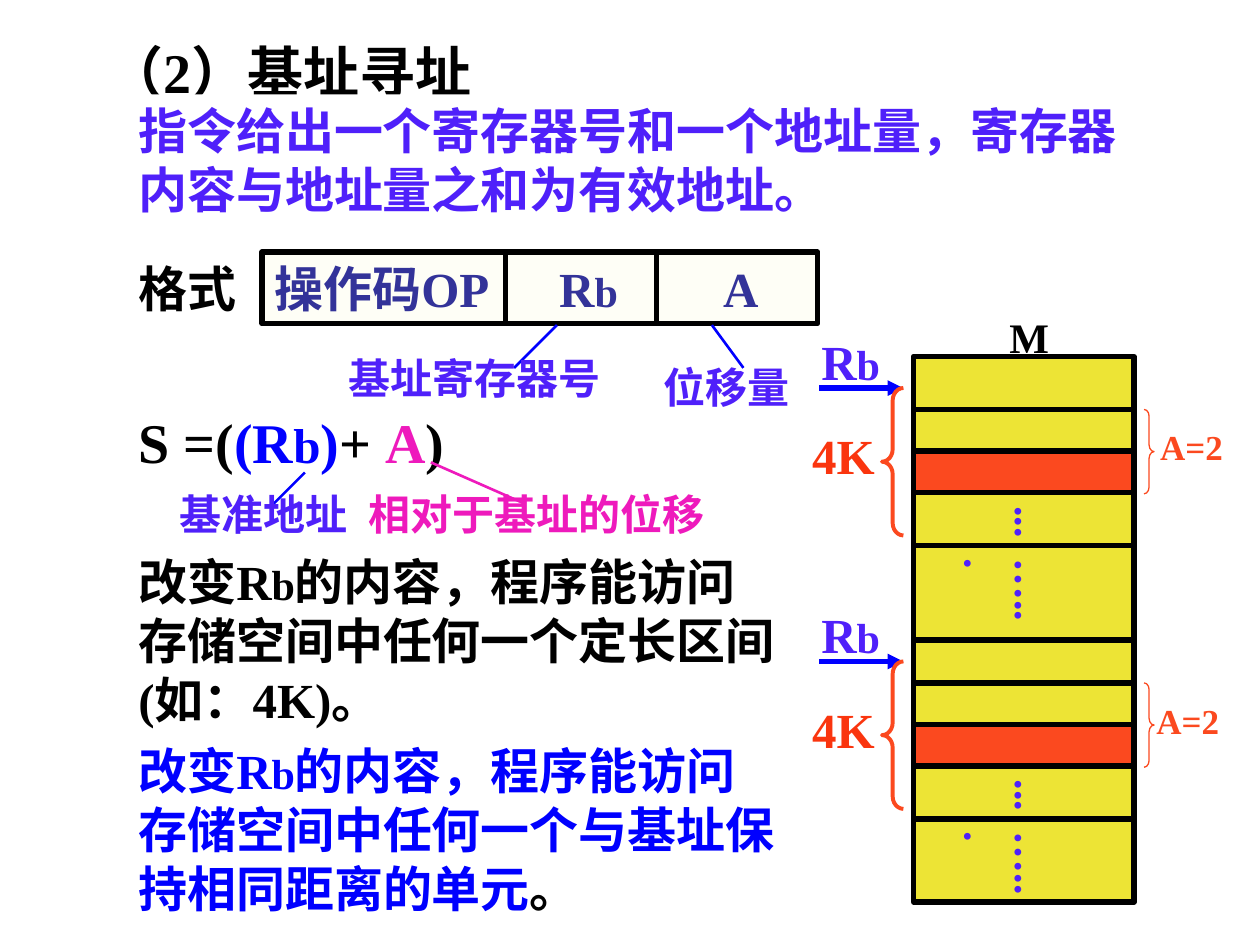
from lxml.etree import SubElement
from pptx import Presentation
from pptx.dml.color import RGBColor
from pptx.enum.shapes import MSO_CONNECTOR, MSO_SHAPE
from pptx.enum.text import MSO_ANCHOR, MSO_AUTO_SIZE, PP_ALIGN
from pptx.oxml.ns import qn
from pptx.util import Inches, Pt

BLACK = RGBColor(0x00, 0x00, 0x00)
WHITE = RGBColor(0xFF, 0xFF, 0xFF)
BLUE = RGBColor(0x00, 0x00, 0xFF)
VIOLET = RGBColor(0x4F, 0x20, 0xFA)
NAVY = RGBColor(0x33, 0x33, 0x99)
IVORY = RGBColor(0xFE, 0xFE, 0xF6)
PINK = RGBColor(0xEE, 0x1A, 0xBC)
YELLOW = RGBColor(0xED, 0xE4, 0x35)
RED = RGBColor(0xFA, 0x35, 0x0E)
ORANGE = RGBColor(0xFB, 0x49, 0x1F)
FONT = "Times New Roman"


def write(shape, runs, margins=(0.1, 0.05), spacing=None):
    """Fill a shape with one paragraph of (text, size, colour) runs."""
    frame = shape.text_frame
    frame.word_wrap = True
    frame.auto_size = MSO_AUTO_SIZE.SHAPE_TO_FIT_TEXT
    frame.vertical_anchor = MSO_ANCHOR.TOP
    frame.margin_left = frame.margin_right = Inches(margins[0])
    frame.margin_top = frame.margin_bottom = Inches(margins[1])
    para = frame.paragraphs[0]
    para.alignment = PP_ALIGN.LEFT
    para.space_before = Pt(runs[-1][1] * 0.625)
    if spacing:
        para.line_spacing = spacing
    for text, size, color in runs:
        span = para.add_run()
        span.text = text
        span.font.name = FONT
        span.font.size = Pt(size)
        span.font.bold = True
        span.font.color.rgb = color
    return para


def add_text(page, box, *runs, **options):
    shape = page.shapes.add_textbox(*map(Inches, box))
    write(shape, runs, **options)
    return shape


def add_box(page, box, fill, line=None, kind=MSO_SHAPE.RECTANGLE, width=3):
    shape = page.shapes.add_shape(kind, *map(Inches, box))
    shape.shadow.inherit = False
    if fill is None:
        shape.fill.background()
    else:
        shape.fill.solid()
        shape.fill.fore_color.rgb = fill
    if line is None:
        shape.line.fill.background()
    else:
        shape.line.color.rgb = line
        shape.line.width = Pt(width)
    return shape


def add_line(page, start, end, color, width, arrow=False):
    line = page.shapes.add_connector(
        MSO_CONNECTOR.STRAIGHT, *map(Inches, (*start, *end)))
    line.line.color.rgb = color
    line.line.width = Pt(width)
    if arrow:
        SubElement(line.line._get_or_add_ln(), qn("a:tailEnd"), type="triangle")
    SubElement(line._element.spPr, qn("a:effectLst"))


def add_brace(page, box, kind, width, curve):
    brace = add_box(page, box, None, ORANGE, kind, width)
    brace.adjustments[0] = curve
    brace.adjustments[1] = 0.5


def add_heading(page, left, top):
    title = page.shapes.title
    title.left, title.top = Inches(left - 0.25), Inches(top)
    title.width, title.height = Inches(3.83), Inches(0.64)
    write(title, [("（2）基址寻址", 32, BLACK)])
    definition = add_box(page, (left, top + 0.5, 8.17, 1.04), WHITE)
    write(definition, [("指令给出一个寄存器号和一个地址量，寄存器内容与地址量之和为有效地址。", 28, VIOLET)])


def add_format(page, left, top):
    """Instruction format: three fields and their captions."""
    add_text(page, (left, top, 1.17, 0.57), ("格式", 28, BLACK))
    fields = add_box(page, (left + 1.08, top, 4.41, 0.57), IVORY, BLACK)
    para = write(fields, [("操作码OP\tR", 28, NAVY), ("b\t", 24, NAVY), ("A", 28, NAVY)])
    tabs = SubElement(para._p.get_or_add_pPr(), qn("a:tabLst"))
    for stop in (2.26, 3.56):
        SubElement(tabs, qn("a:tab"), pos=str(Inches(stop)), algn="l")
    bottom = top + 0.58
    for x in (left + 3.01, left + 4.21):
        add_line(page, (x, top), (x, bottom), BLACK, 3)
    for x, shift in ((left + 3.42, -0.34), (left + 4.65, 0.25)):
        add_line(page, (x, bottom), (x + shift, bottom + 0.34), BLUE, 1.5)
    add_text(page, (left + 1.67, top + 0.75, 2.33, 0.5), ("基址寄存器号", 24, VIOLET))
    add_text(page, (left + 4.17, top + 0.82, 1.58, 0.5), ("位移量", 24, VIOLET))


def add_formula(page, left, top):
    add_text(page, (left, top, 3.58, 0.48),
             ("S =(", 32, BLACK), ("(R", 32, BLUE), ("b", 28, BLUE), (")", 32, BLUE),
             ("+ ", 32, BLACK), ("A", 32, PINK), (")", 32, BLACK), spacing=0.7)
    add_line(page, (left + 1.42, top + 0.42), (left + 1.17, top + 0.67), BLUE, 1.5)
    add_text(page, (left + 0.33, top + 0.5, 1.67, 0.5), ("基准地址", 24, VIOLET))
    add_line(page, (left + 2.42, top + 0.34), (left + 3.17, top + 0.67), PINK, 1.5)
    add_text(page, (left + 1.83, top + 0.5, 3.25, 0.5), ("相对于基址的位移", 24, PINK))


def add_notes(page, left, top):
    """Two remarks that share their opening words."""
    remarks = (
        (BLACK, "存储空间中任何一个定长区间(如：4K)", BLACK),
        (BLUE, "存储空间中任何一个与基址保持相同距离的单元", BLACK),
    )
    for row, (color, ending, stop_color) in enumerate(remarks):
        add_text(page, (left, top + row * 1.5, 5.25, 1.5),
                 ("改变R", 28, color), ("b", 24, color),
                 ("的内容，程序能访问" + ending, 28, color), ("。", 28, stop_color))


def add_segment(page, left, top, label_left):
    """One base-addressed segment of memory with its pointers."""
    right = left + 1.75
    for offset in (0.42, 0.75, 1.08, 1.5):
        add_line(page, (left, top + offset), (right, top + offset), BLACK, 3)
    add_box(page, (left, top + 0.75, 1.75, 0.33), ORANGE, BLACK)
    for offset, height, dots in ((1.09, 0.58, "..."), (1.5, 0.75, "…...")):
        column = add_text(page, (left + 0.59, top + offset, 0.6, height),
                          (dots, 24, VIOLET), margins=(0.05, 0.1))
        column.text_frame._txBody.bodyPr.set("vert", "eaVert")
    # Base register and the 4K range
    add_text(page, (left - 0.83, top - 0.25, 0.92, 0.57), ("R", 28, VIOLET), ("b", 24, VIOLET))
    add_line(page, (left - 0.75, top + 0.25), (left - 0.08, top + 0.25), BLUE, 3, arrow=True)
    add_text(page, (left - 1, top + 0.5, 1, 0.57), (" 4K", 28, RED))
    add_brace(page, (left - 0.25, top + 0.25, 0.17, 1.17), MSO_SHAPE.LEFT_BRACE, 2.25, 0.58)
    # Displacement
    add_brace(page, (right + 0.08, top + 0.42, 0.08, 0.67), MSO_SHAPE.RIGHT_BRACE, 0.75, 0.67)
    add_text(page, (label_left, top + 0.5, 0.73, 0.44), ("A=2", 20, ORANGE))


def add_memory(page, left, top):
    add_box(page, (left, top, 1.75, 4.33), YELLOW, BLACK)
    add_text(page, (left + 0.58, top - 0.41, 1.08, 0.5), (" M", 24, BLACK))
    add_line(page, (left, top + 2.25), (left + 1.75, top + 2.25), BLACK, 3)
    for row, label_left in enumerate((left + 1.86, left + 1.83)):
        add_segment(page, left, top + row * 2.17, label_left)


def main():
    deck = Presentation()
    deck.slide_width, deck.slide_height = Inches(10), Inches(7.5)
    page = deck.slides.add_slide(deck.slide_layouts[5])
    add_heading(page, 1, 0.25)
    add_format(page, 1, 2)
    add_formula(page, 1, 3.33)
    add_notes(page, 1, 4.33)
    add_memory(page, 7.25, 2.83)
    deck.save("out.pptx")


if __name__ == "__main__":
    main()
